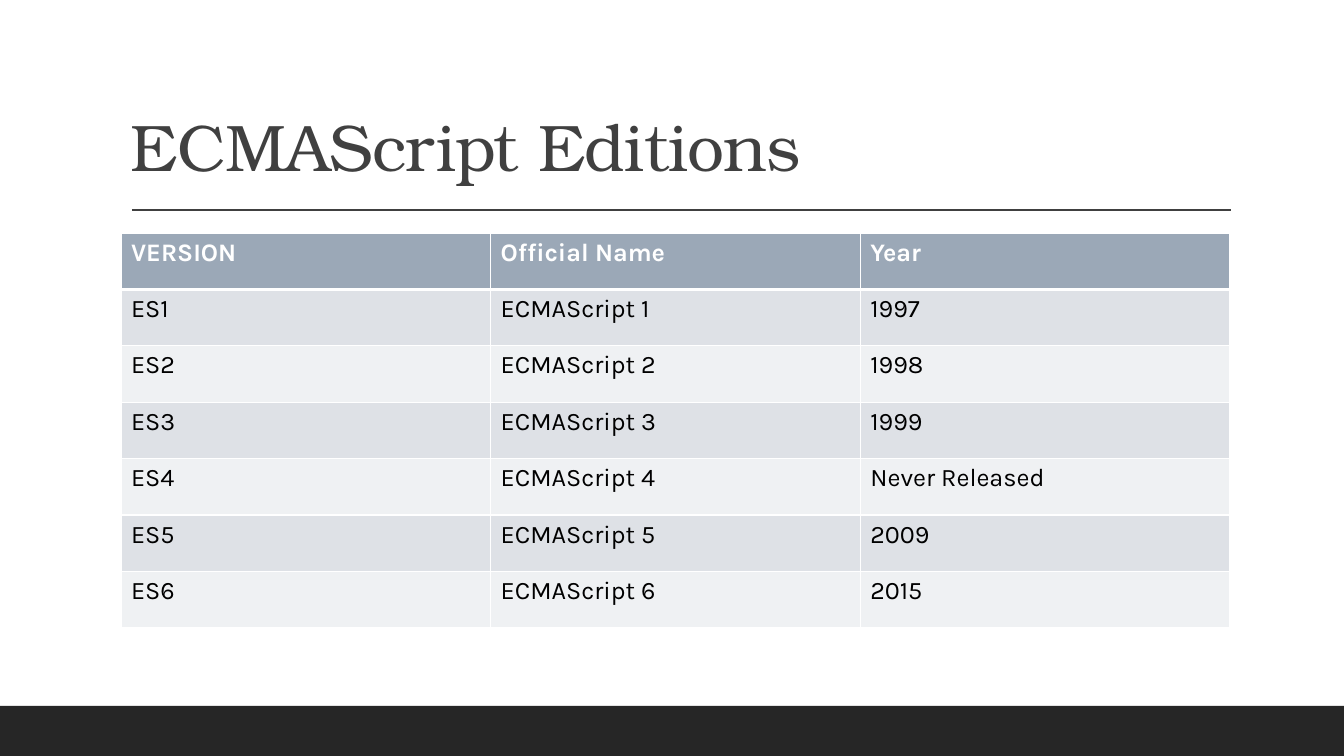
from dataclasses import dataclass

from lxml import etree
from pptx import Presentation
from pptx import util as u
from pptx.dml.color import RGBColor
from pptx.enum import shapes, text
from pptx.oxml import ns

TITLE = "ECMAScript Editions"
HEADINGS = ("VERSION", "Official Name", "Year")
YEARS = ("1997", "1998", "1999", "Never Released", "2009", "2015")
EDITIONS = [(f"ES{n}", f"ECMAScript {n}", year) for n, year in enumerate(YEARS, 1)]

SLIDE_WIDTH, SLIDE_HEIGHT = 1344, 756
FOOTER_TOP = 706
RULE_LEFT, RULE_RIGHT, RULE_TOP = 132, 1231, 210
TITLE_BOX = (121, 31, 1109, 160)
TABLE_BOX = (121, 233, 1109, 395)


@dataclass(frozen=True)
class Theme:
    title_font: str = "TeX Gyre Bonum"
    body_font: str = "Karla"
    title_size: int = 47
    body_size: int = 18
    ink: str = "404040"
    footer: str = "262626"
    header: str = "9BA8B7"
    bands: tuple = ("DEE1E6", "EFF1F3")
    white: str = "FFFFFF"
    black: str = "000000"


THEME = Theme()


def px(length):
    return u.Emu(round(length * 914400 / 100.8))


def color(code):
    return RGBColor.from_string(code)


def style_font(font, name, size, code, bold=False):
    font.name, font.size, font.bold = name, u.Pt(size), bold
    font.color.rgb = color(code)


def add_footer(page):
    bar = page.shapes.add_shape(
        shapes.MSO_SHAPE.RECTANGLE, 0, px(FOOTER_TOP),
        px(SLIDE_WIDTH), px(SLIDE_HEIGHT - FOOTER_TOP))
    bar.shadow.inherit = False
    bar.fill.solid()
    bar.fill.fore_color.rgb = color(THEME.footer)
    bar.line.fill.background()


def add_rule(page):
    rule = page.shapes.add_connector(
        shapes.MSO_CONNECTOR.STRAIGHT,
        px(RULE_LEFT), px(RULE_TOP), px(RULE_RIGHT), px(RULE_TOP))
    rule.line.color.rgb = color(THEME.ink)
    rule.line.width = u.Pt(1)
    etree.SubElement(rule._element.spPr, ns.qn("a:effectLst"))


def add_title(page):
    box = page.shapes.add_textbox(*map(px, TITLE_BOX))
    frame = box.text_frame
    frame.word_wrap = True
    frame.vertical_anchor = text.MSO_ANCHOR.BOTTOM
    para = frame.paragraphs[0]
    para.line_spacing = 0.9
    span = para.add_run()
    span.text = TITLE
    style_font(span.font, THEME.title_font, THEME.title_size, THEME.ink)
    span.font._element.set("spc", "-50")


def add_borders(cell, top, bottom):
    """Draw white cell borders; top and bottom are widths in points."""
    properties = cell._tc.get_or_add_tcPr()
    for side, width in (("L", 1), ("R", 1), ("T", top), ("B", bottom)):
        line = etree.SubElement(properties, ns.qn(f"a:ln{side}"), w=str(u.Pt(width)))
        fill = etree.SubElement(line, ns.qn("a:solidFill"))
        etree.SubElement(fill, ns.qn("a:srgbClr"), val=THEME.white)


def add_editions(page):
    rows = [HEADINGS, *EDITIONS]
    table = page.shapes.add_table(len(rows), len(HEADINGS), *map(px, TABLE_BOX)).table
    for r, values in enumerate(rows):
        is_header = r == 0
        fill = THEME.header if is_header else THEME.bands[(r - 1) % 2]
        ink = THEME.white if is_header else THEME.black
        for c, value in enumerate(values):
            cell = table.cell(r, c)
            add_borders(cell, top=3 if r == 1 else 1, bottom=3 if is_header else 1)
            cell.fill.solid()
            cell.fill.fore_color.rgb = color(fill)
            cell.text = value
            style_font(cell.text_frame.paragraphs[0].font,
                       THEME.body_font, THEME.body_size, ink, is_header)


def main():
    deck = Presentation()
    deck.slide_width, deck.slide_height = px(SLIDE_WIDTH), px(SLIDE_HEIGHT)
    page = deck.slides.add_slide(deck.slide_layouts[6])
    add_footer(page)
    add_rule(page)
    add_title(page)
    add_editions(page)
    deck.save("out.pptx")


if __name__ == "__main__":
    main()
